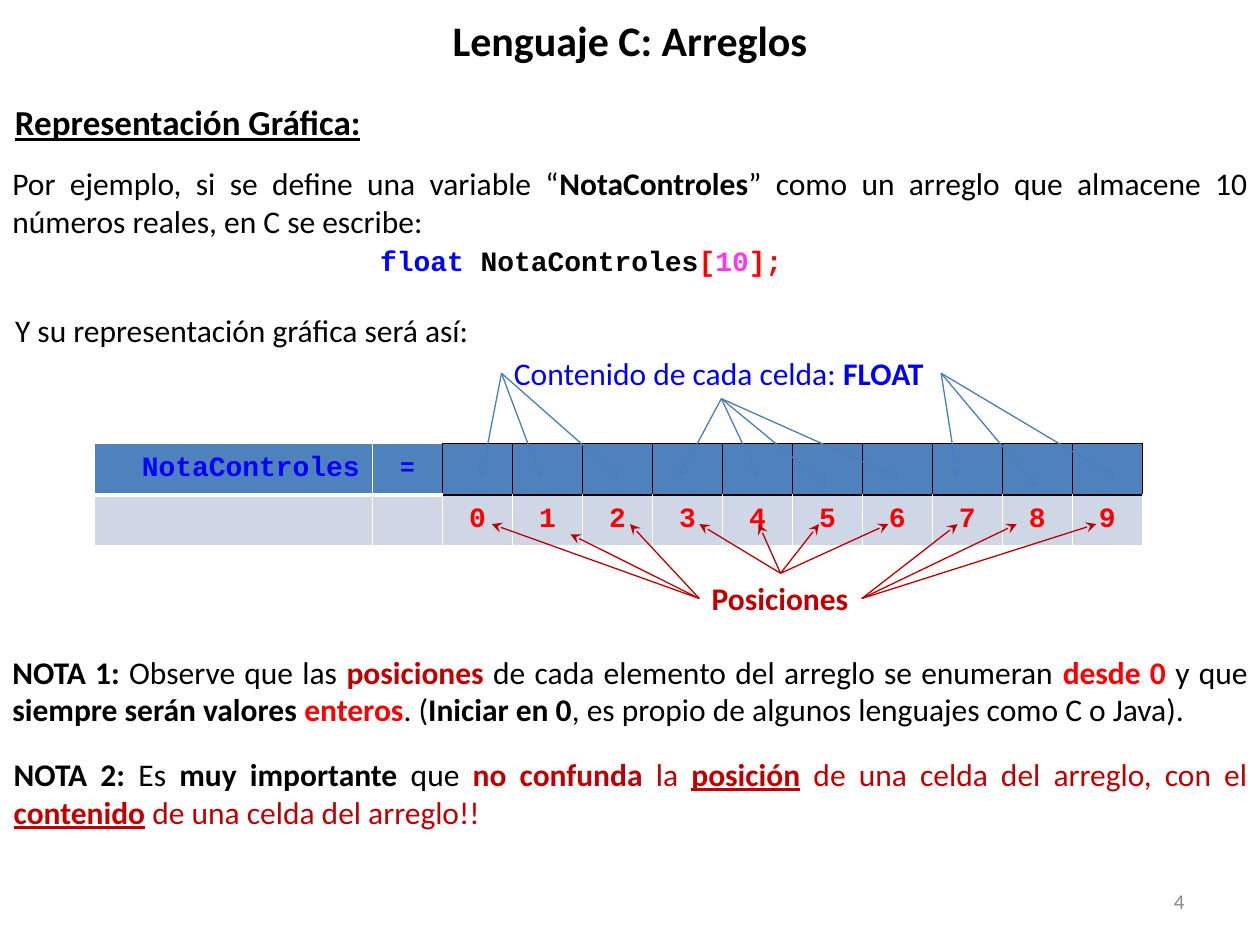
"""Builds the slide that shows a C array with its cell contents and positions."""
import dataclasses

import pptx
import pptx.dml.color
import pptx.enum.shapes
import pptx.enum.text
import pptx.oxml
import pptx.oxml.ns
import pptx.util
from lxml import etree

Pt = pptx.util.Pt
ALIGN = pptx.enum.text.PP_ALIGN
ANCHOR = pptx.enum.text.MSO_ANCHOR
TOP, LEFT, BOTTOM, RIGHT = range(4)


@dataclasses.dataclass(frozen=True)
class Theme:
    sans: str = "Calibri"
    mono: str = "Courier New"
    black: str = "000000"
    white: str = "FFFFFF"
    blue: str = "0000FF"
    red: str = "FF0000"
    crimson: str = "C00000"
    pink: str = "F63CE9"
    grey: str = "888888"
    header: str = "4F81BD"
    band: str = "CFD7E7"
    arrow: str = "4A7DBA"
    title: int = 24
    heading: int = 20
    body: int = 18
    code: int = 16
    sign: int = 14
    number: int = 12


def rgb(color):
    return pptx.dml.color.RGBColor.from_string(color)


class ArraySlide:
    def __init__(self, deck, theme):
        self.theme = theme
        self.slide = deck.slides.add_slide(deck.slide_layouts[5])

    def style(self, run, color, size, font=None, marks=""):
        run.font.name = font or self.theme.sans
        run.font.size = Pt(size)
        run.font.color.rgb = rgb(color)
        run.font.bold = "b" in marks
        run.font.underline = "u" in marks

    def title(self, text, left, top, width, height):
        title = self.slide.shapes.title
        title.left, title.top, title.width, title.height = map(Pt, (left, top, width, height))
        title.text_frame.text = text
        title.text_frame.vertical_anchor = ANCHOR.MIDDLE
        paragraph = title.text_frame.paragraphs[0]
        paragraph.alignment = ALIGN.CENTER
        self.style(paragraph.runs[0], self.theme.black, self.theme.title, marks="b")

    def text(self, spans, frame, size, font=None, align=ALIGN.LEFT, parent=None):
        box = (parent or self.slide).shapes.add_textbox(*map(Pt, frame))
        box.text_frame.word_wrap = align != ALIGN.LEFT
        paragraph = box.text_frame.paragraphs[0]
        paragraph.alignment = align
        for words, color, marks in spans:
            run = paragraph.add_run()
            run.text = words
            self.style(run, color, size, font, marks)
        return box

    def arrow(self, group, source, side, tip, color):
        start = {
            TOP: (source.left + source.width // 2, source.top),
            LEFT: (source.left, source.top + source.height // 2),
            BOTTOM: (source.left + source.width // 2, source.top + source.height),
            RIGHT: (source.left + source.width, source.top + source.height // 2),
        }[side]
        line = group.shapes.add_connector(
            pptx.enum.shapes.MSO_CONNECTOR.STRAIGHT, *start, *map(Pt, tip))
        line.begin_connect(source, side)
        line.line.color.rgb = rgb(color)
        line.line.width = Pt(0.75)
        etree.SubElement(line.line._get_or_add_ln(), pptx.oxml.ns.qn("a:tailEnd"), type="stealth")
        etree.SubElement(line._element.spPr, pptx.oxml.ns.qn("a:effectLst"))

    def fan(self, spans, frame, color, tips_by_side):
        group = self.slide.shapes.add_group_shape()
        caption = self.text(spans, frame, self.theme.body, parent=group)
        for side, tips in tips_by_side.items():
            for tip in tips:
                self.arrow(group, caption, side, tip, color)

    def cell(self, cell, fill, borders, text="", color=None, size=None, align=ALIGN.CENTER):
        cell.fill.solid()
        cell.fill.fore_color.rgb = rgb(fill)
        cell.vertical_anchor = ANCHOR.MIDDLE
        properties = cell._tc.get_or_add_tcPr()
        for index, (edge, (line_color, width)) in enumerate(zip("LRTB", borders)):
            properties.insert(index, pptx.oxml.parse_xml(
                f'<a:ln{edge} {pptx.oxml.ns.nsdecls("a")} w="{Pt(width)}"><a:solidFill>'
                f'<a:srgbClr val="{line_color}"/></a:solidFill></a:ln{edge}>'))
        if text:
            cell.text_frame.text = text
            paragraph = cell.text_frame.paragraphs[0]
            paragraph.alignment = align
            self.style(paragraph.runs[0], color, size, self.theme.mono, "b")

    def array(self, name, count, left, top, name_width, cell_width, row_height):
        t = self.theme
        table = self.slide.shapes.add_table(
            2, count + 2, Pt(left), Pt(top),
            Pt(name_width + cell_width * (count + 1)), Pt(2 * row_height)).table
        for index, column in enumerate(table.columns):
            column.width = Pt(cell_width if index else name_width)
        white, black, thick = (t.white, 1), (t.black, 1), (t.white, 3)
        self.cell(table.cell(0, 0), t.header, (white, white, white, thick),
                  name, t.blue, t.code, ALIGN.RIGHT)
        self.cell(table.cell(0, 1), t.header, (white, black, white, thick), "=", t.blue, t.sign)
        for column in (0, 1):
            self.cell(table.cell(1, column), t.band, (white, white, thick, white))
        for position in range(count):
            self.cell(table.cell(0, position + 2), t.header, (black,) * 4)
            self.cell(table.cell(1, position + 2), t.band, (white, white, black, white),
                      str(position), t.red, t.code)


def main():
    deck = pptx.Presentation()
    deck.slide_width, deck.slide_height = Pt(720), Pt(540)
    t = Theme()
    page = ArraySlide(deck, t)
    justify = ALIGN.JUSTIFY

    page.title("Lenguaje C: Arreglos", 36, 0, 648, 45)
    page.text([("Representación Gráfica:", t.black, "bu")], (1.5, 54, 232.5, 31.5), t.heading)
    page.array("NotaControles", 10, 54, 253.5, 158.8, 40, 29.3)

    page.fan(
        [("Posiciones", t.crimson, "b")], (399.6, 327.6, 92.9, 28.8), t.crimson,
        {LEFT: [(281, 299.5), (326, 305.3), (360, 299.5)],
         TOP: [(x, 299.5) for x in (399.6, 433.5, 468, 507.6)],
         RIGHT: [(x, 299.5) for x in (547.2, 581, 626.4)]})
    page.fan(
        [("Contenido de cada celda:", t.blue, ""), (" FLOAT", t.blue, "b")],
        (286.6, 198.8, 251.2, 29), t.arrow,
        {LEFT: [(x, 273) for x in (275, 309, 354.2)],
         BOTTOM: [(388, 273), (433.5, 273), (473.8, 278.6), (513.4, 273)],
         RIGHT: [(547.2, 273), (592.6, 278.6), (638, 273)]})

    page.text(
        [("float ", t.blue, "b"), ("NotaControles", t.black, "b"), ("[", t.red, "b"),
         ("10", t.pink, "b"), ("];", t.red, "b")],
        (210.2, 135.4, 249.8, 26.6), t.code, t.mono)
    page.text(
        [("Por ejemplo, si se define una variable “", t.black, ""),
         ("NotaControles", t.black, "b"),
         ("” como un arreglo que almacene 10 números reales, en C se escribe:", t.black, "")],
        (0, 90, 720, 51), t.body, align=justify)
    page.text([("Y su representación gráfica será así:", t.black, "")],
              (1.5, 174.2, 278, 29), t.body)
    page.text(
        [("NOTA 1: ", t.black, "b"), ("Observe que las ", t.black, ""),
         ("posiciones ", t.crimson, "b"),
         ("de cada elemento del arreglo se enumeran ", t.black, ""),
         ("desde 0 ", t.red, "b"), ("y que ", t.black, ""),
         ("siempre serán valores ", t.black, "b"), ("enteros", t.red, "b"),
         (". (", t.black, ""), ("Iniciar en 0", t.black, "b"),
         (", es propio de algunos lenguajes como C o Java).", t.black, "")],
        (0, 369.4, 720, 51), t.body, align=justify)
    page.text(
        [("NOTA 2: ", t.black, "b"), ("Es ", t.black, ""), ("muy importante", t.black, "b"),
         (" que ", t.black, ""), ("no confunda ", t.crimson, "b"), ("la ", t.crimson, ""),
         ("posición", t.crimson, "bu"), (" ", t.crimson, "b"),
         ("de una celda del arreglo, con el ", t.crimson, ""),
         ("contenido", t.crimson, "bu"), (" ", t.crimson, "b"),
         ("de una celda del arreglo!!", t.crimson, "")],
        (0.8, 427.8, 719.2, 51), t.body, align=justify)
    number = page.text([("4", t.grey, "")], (516, 500.5, 168, 28.8), t.number, align=ALIGN.RIGHT)
    number.text_frame.vertical_anchor = ANCHOR.MIDDLE

    deck.save("out.pptx")


if __name__ == "__main__":
    main()
